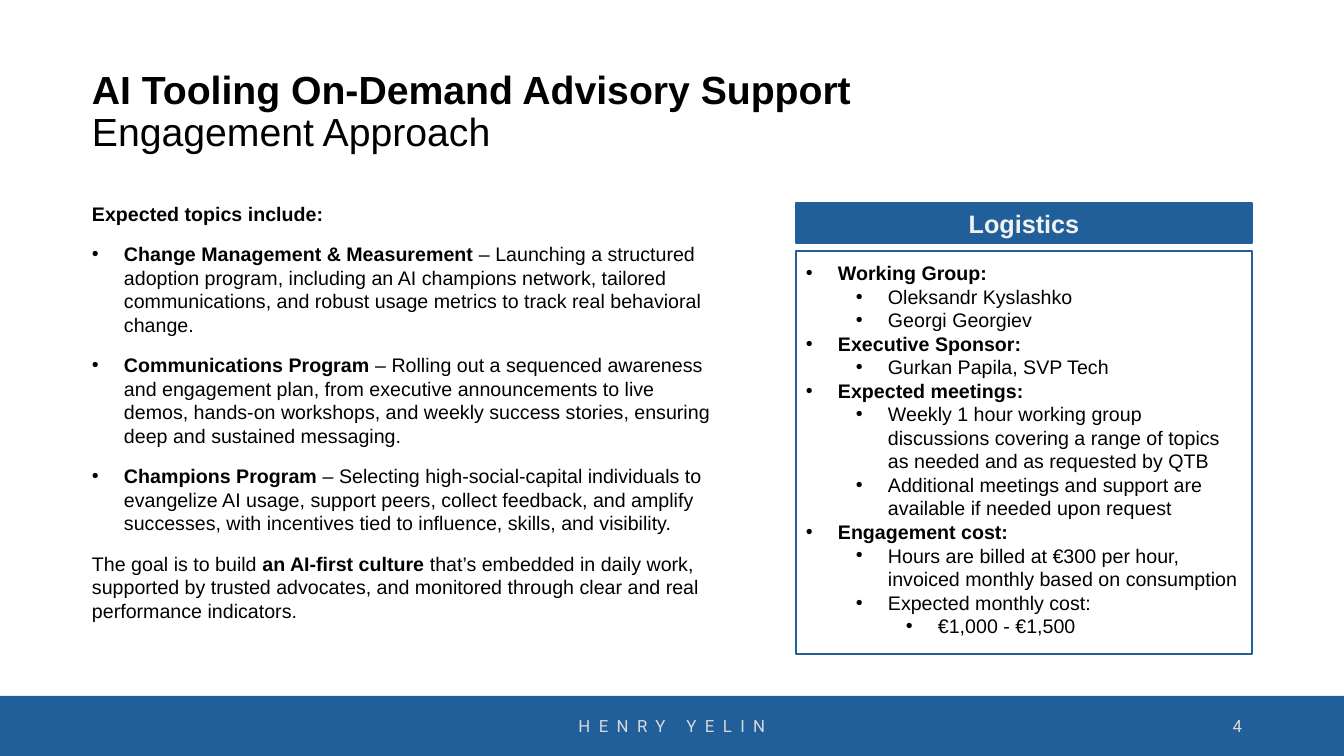
from dataclasses import dataclass

from lxml import etree
from pptx import Presentation
from pptx import util as u
from pptx.dml.color import RGBColor
from pptx.enum import shapes, text
from pptx.oxml.ns import qn

# Paragraphs are (level, runs); level None has no bullet. Runs are (wording, bold).
TITLE = [("AI Tooling On-Demand Advisory Support", True), ("Engagement Approach", False)]
TOPICS = [
    (None, [("Expected topics include:", True)]),
    (0, [("Change Management & Measurement", True),
         (" – Launching a structured adoption program, including an AI champions network, "
          "tailored communications, and robust usage metrics to track real behavioral "
          "change.", False)]),
    (0, [("Communications Program", True),
         (" – Rolling out a sequenced awareness and engagement plan, from executive "
          "announcements to live demos, hands-on workshops, and weekly success stories, "
          "ensuring deep and sustained messaging.", False)]),
    (0, [("Champions Program", True),
         (" – Selecting high-social-capital individuals to evangelize AI usage, support "
          "peers, collect feedback, and amplify successes, with incentives tied to "
          "influence, skills, and visibility.", False)]),
    (None, [("The goal is to build ", False), ("an AI-first culture", True),
            (" that’s embedded in daily work, supported by trusted advocates, and "
             "monitored through clear and real performance indicators.", False)]),
]
LOGISTICS_TITLE = "Logistics"
LOGISTICS = [
    (0, "Working Group:"),
    (1, "Oleksandr Kyslashko"),
    (1, "Georgi Georgiev"),
    (0, "Executive Sponsor:"),
    (1, "Gurkan Papila, SVP Tech"),
    (0, "Expected meetings:"),
    (1, "Weekly 1 hour working group discussions covering a range of topics as needed "
        "and as requested by QTB"),
    (1, "Additional meetings and support are available if needed upon request"),
    (0, "Engagement cost:"),
    (1, "Hours are billed at €300 per hour, invoiced monthly based on consumption"),
    (1, "Expected monthly cost:"),
    (2, "€1,000 - €1,500"),
]
FOOTER = "HENRY YELIN"
PAGE_NUMBER = "4"


@dataclass(frozen=True)
class Theme:
    blue: str = "205F9A"
    footer_blue: str = "215F9A"
    ink: str = "000000"
    heading_ink: str = "F2F2F2"
    footer_ink: str = "D9D9D9"
    font: str = "Arial"
    footer_font: str = "Roboto"
    title: int = 28
    heading: int = 18
    body: int = 14
    footer: int = 12


THEME = Theme()
WIDTH, HEIGHT = 1344, 756
LEFT, RIGHT = 92, 1252
PANEL_LEFT, PANEL_TOP = 796, 203
PANEL_WIDTH = RIGHT - PANEL_LEFT
HEADING_HEIGHT, PANEL_GAP = 40, 8
FOOTER_HEIGHT = 60
HANG, LEVEL_STEP = 32, 50
PX = 914400 / 100.8


def px(length):
    return u.Emu(round(length * PX))


def set_frame(shape, anchor, margins):
    frame = shape.text_frame
    frame.word_wrap = True
    frame.vertical_anchor = anchor
    (frame.margin_left, frame.margin_top,
     frame.margin_right, frame.margin_bottom) = map(px, margins)
    return frame


def add_text_box(slide, box, anchor, margins=(0, 0, 0, 0)):
    return set_frame(slide.shapes.add_textbox(*map(px, box)), anchor, margins)


def add_rectangle(slide, box, anchor, margins, fill=None, line=None):
    shape = slide.shapes.add_shape(shapes.MSO_SHAPE.RECTANGLE, *map(px, box))
    shape.shadow.inherit = False
    if fill:
        shape.fill.solid()
        shape.fill.fore_color.rgb = RGBColor.from_string(fill)
    else:
        shape.fill.background()
    if line:
        shape.line.color.rgb = RGBColor.from_string(line)
        shape.line.width = u.Pt(1.5)
    else:
        shape.line.fill.background()
    return set_frame(shape, anchor, margins)


def add_run(paragraph, wording, size, color=THEME.ink, bold=False, font=THEME.font):
    run = paragraph.add_run()
    run.text = wording
    run.font.size = u.Pt(size)
    run.font.name = font
    run.font.bold = bold
    run.font.color.rgb = RGBColor.from_string(color)
    return run


def add_bullet(paragraph, level):
    paragraph.level = level
    properties = paragraph._p.get_or_add_pPr()
    properties.set("marL", str(px(HANG + level * LEVEL_STEP)))
    properties.set("indent", str(-px(HANG)))
    etree.SubElement(properties, qn("a:buFont")).set("typeface", THEME.font)
    etree.SubElement(properties, qn("a:buChar")).set("char", "•")


def write_paragraphs(frame, paragraphs, spacing=0):
    for index, (level, runs) in enumerate(paragraphs):
        paragraph = frame.add_paragraph() if index else frame.paragraphs[0]
        paragraph.alignment = text.PP_ALIGN.LEFT
        if level is not None:
            add_bullet(paragraph, level)
        paragraph.space_before = u.Pt(spacing if index else 0)
        paragraph.space_after = u.Pt(spacing)
        for wording, bold in runs:
            add_run(paragraph, wording, THEME.body, bold=bold)


def add_footer(slide):
    top = HEIGHT - FOOTER_HEIGHT
    frame = add_rectangle(slide, (0, top, WIDTH, FOOTER_HEIGHT), text.MSO_ANCHOR.MIDDLE,
                          (10, 5, 10, 5), fill=THEME.footer_blue)
    paragraph = frame.paragraphs[0]
    paragraph.alignment = text.PP_ALIGN.CENTER
    run = add_run(paragraph, FOOTER, THEME.footer, THEME.footer_ink, font=THEME.footer_font)
    run.font._element.set("spc", "600")

    frame = add_text_box(slide, (RIGHT - 302, top + 10, 302, 40), text.MSO_ANCHOR.MIDDLE,
                         (10, 5, 10, 5))
    paragraph = frame.paragraphs[0]
    paragraph.alignment = text.PP_ALIGN.RIGHT
    add_run(paragraph, PAGE_NUMBER, THEME.footer, THEME.footer_ink, font=THEME.footer_font)


def add_title(slide):
    frame = add_text_box(slide, (LEFT, 40, RIGHT - LEFT, 146), text.MSO_ANCHOR.MIDDLE)
    paragraph = frame.paragraphs[0]
    paragraph.line_spacing = 0.9
    for index, (wording, bold) in enumerate(TITLE):
        if index:
            paragraph.add_line_break()
        add_run(paragraph, wording, THEME.title, bold=bold)


def add_logistics(slide):
    frame = add_rectangle(slide, (PANEL_LEFT, PANEL_TOP, PANEL_WIDTH, HEADING_HEIGHT),
                          text.MSO_ANCHOR.MIDDLE, (10, 10, 10, 10), THEME.blue, THEME.blue)
    paragraph = frame.paragraphs[0]
    paragraph.alignment = text.PP_ALIGN.CENTER
    add_run(paragraph, LOGISTICS_TITLE, THEME.heading, THEME.heading_ink, bold=True)

    top = PANEL_TOP + HEADING_HEIGHT + PANEL_GAP
    frame = add_rectangle(slide, (PANEL_LEFT, top, PANEL_WIDTH, 403), text.MSO_ANCHOR.TOP,
                          (10, 10, 10, 0), line=THEME.blue)
    write_paragraphs(frame, [(level, [(wording, level == 0)]) for level, wording in LOGISTICS])


def main():
    presentation = Presentation()
    presentation.slide_width, presentation.slide_height = px(WIDTH), px(HEIGHT)
    slide = presentation.slides.add_slide(presentation.slide_layouts[6])
    add_footer(slide)
    add_title(slide)
    topics = add_text_box(slide, (LEFT, 202, 630, 446), text.MSO_ANCHOR.TOP)
    write_paragraphs(topics, TOPICS, spacing=6)
    add_logistics(slide)
    presentation.save("out.pptx")


if __name__ == "__main__":
    main()
